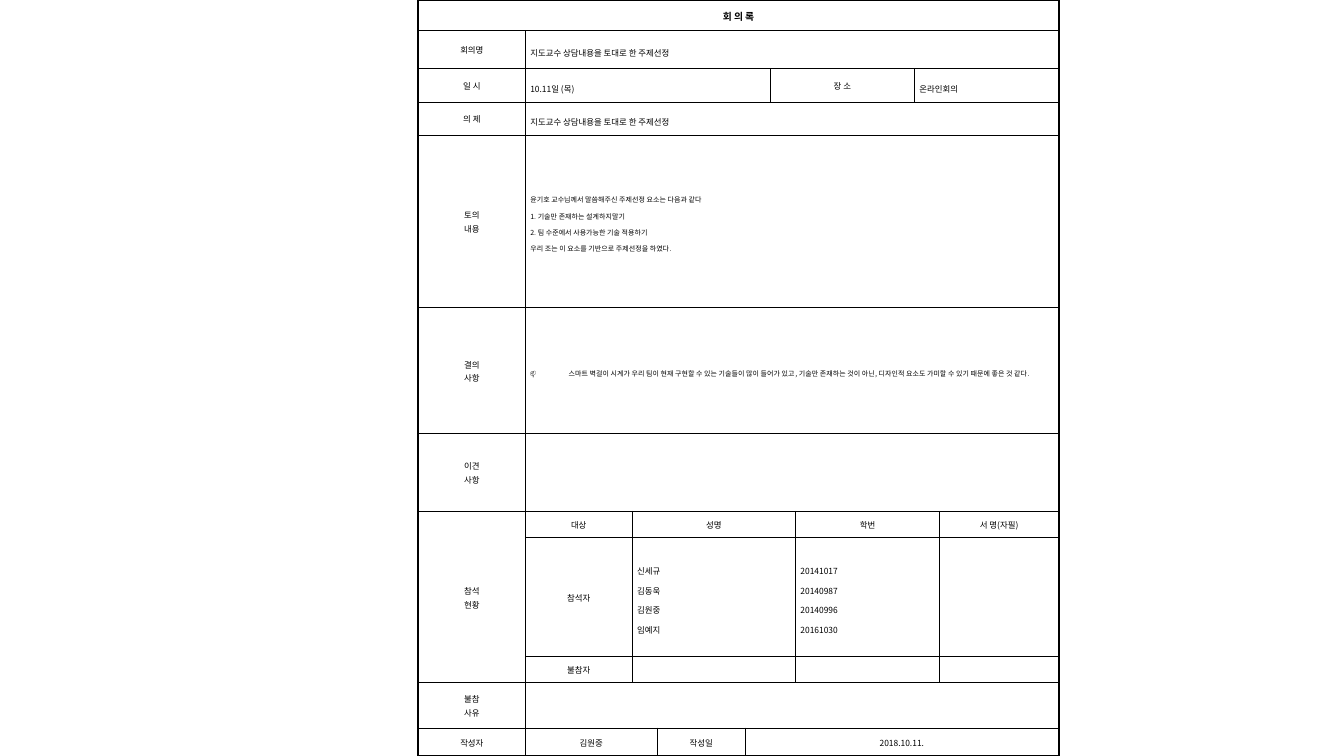
from lxml.etree import SubElement
from pptx import Presentation
from pptx.dml.color import RGBColor
from pptx.enum.text import MSO_ANCHOR, PP_ALIGN
from pptx.oxml.ns import qn
from pptx.util import Emu, Inches, Pt

FONT = "Noto Sans CJK KR"
BLACK = "000000"
THIN, THICK = 0.25, 1.7
COLUMNS = [1.06, 1.06, 0.25, 0.87, 0.25, 0.25, 1.18, 0.25, 1.18]
ROWS = [0.3, 0.38, 0.33, 0.33, 1.71, 1.25, 0.77, 0.26, 1.18, 0.26, 0.45, 0.28]

# Text styles: headings and labels are centred, entries are justified
LABEL = {"alignment": PP_ALIGN.CENTER, "line_spacing": 1.14, "size": 6, "bold": False}
TITLE = LABEL | {"size": 7, "bold": True}
ENTRY = LABEL | {"alignment": PP_ALIGN.JUSTIFY, "line_spacing": 1.6}
DETAIL = ENTRY | {"size": 5}
DECISION = DETAIL | {"bullet": "📫"}

# Cells: row, column, rows spanned, columns spanned, style, lines of text
CELLS = [
    (0, 0, 1, 9, TITLE, ["회 의 록"]),
    (1, 0, 1, 1, LABEL, ["회의명"]),
    (1, 1, 1, 8, ENTRY, ["지도교수 상담내용을 토대로 한 주제선정"]),
    (2, 0, 1, 1, LABEL, ["일 시"]),
    (2, 1, 1, 4, ENTRY, ["10.11일 (목)"]),
    (2, 5, 1, 2, LABEL, ["장 소"]),
    (2, 7, 1, 2, ENTRY, ["온라인회의"]),
    (3, 0, 1, 1, LABEL, ["의 제"]),
    (3, 1, 1, 8, ENTRY, ["지도교수 상담내용을 토대로 한 주제선정"]),
    (4, 0, 1, 1, LABEL, ["토의", "내용"]),
    (4, 1, 1, 8, DETAIL, [
        "윤기호 교수님께서 말씀해주신 주제선정 요소는 다음과 같다",
        "1. 기술만 존재하는 설계하지말기",
        "2. 팀 수준에서 사용가능한 기술 적용하기",
        "우리 조는 이 요소를 기반으로 주제선정을 하였다."]),
    (5, 0, 1, 1, LABEL, ["결의", "사항"]),
    (5, 1, 1, 8, DECISION, [
        "스마트 벽걸이 시계가 우리 팀이 현재 구현할 수 있는 기술들이 많이 들어가 있고, "
        "기술만 존재하는 것이 아닌, 디자인적 요소도 가미할 수 있기 때문에 좋은 것 같다."]),
    (6, 0, 1, 1, LABEL, ["이견", "사항"]),
    (6, 1, 1, 8, ENTRY, []),
    (7, 0, 3, 1, LABEL, ["참석", "현황"]),
    (7, 1, 1, 1, LABEL, ["대상"]),
    (7, 2, 1, 4, LABEL, ["성명"]),
    (7, 6, 1, 2, LABEL, ["학번"]),
    (7, 8, 1, 1, LABEL, ["서 명(자필)"]),
    (8, 1, 1, 1, LABEL, ["참석자"]),
    (8, 2, 1, 4, ENTRY, ["신세규", "김동욱", "김원중", "임예지"]),
    (8, 6, 1, 2, ENTRY, ["20141017", "20140987", "20140996", "20161030"]),
    (8, 8, 1, 1, ENTRY, []),
    (9, 1, 1, 1, LABEL, ["불참자"]),
    (9, 2, 1, 4, ENTRY, []),
    (9, 6, 1, 2, ENTRY, []),
    (9, 8, 1, 1, ENTRY, []),
    (10, 0, 1, 1, LABEL, ["불참", "사유"]),
    (10, 1, 1, 8, ENTRY, []),
    (11, 0, 1, 1, LABEL, ["작성자"]),
    (11, 1, 1, 2, LABEL, ["김원중"]),
    (11, 3, 1, 1, LABEL, ["작성일"]),
    (11, 4, 1, 5, LABEL, ["2018.10.11."]),
]


def color(hex_value):
    return RGBColor.from_string(hex_value)


def add_border(cell, side, points):
    line = SubElement(cell._tc.get_or_add_tcPr(), qn(f"a:ln{side}"), w=str(Pt(points)))
    fill = SubElement(line, qn("a:solidFill"))
    SubElement(fill, qn("a:srgbClr"), val=BLACK)


# Slide
presentation = Presentation()
presentation.slide_width, presentation.slide_height = Inches(13.33), Inches(7.5)
slide = presentation.slides.add_slide(presentation.slide_layouts[6])

# Table grid
shape = slide.shapes.add_table(
    len(ROWS), len(COLUMNS), Inches(4.15), Emu(0),
    Inches(sum(COLUMNS)), Inches(sum(ROWS)))
table = shape.table
table.first_row = table.horz_banding = False
for column, width in zip(table.columns, COLUMNS):
    column.width = Inches(width)
for row, height in zip(table.rows, ROWS):
    row.height = Inches(height)

# Cell margins, with a small text size so that empty cells stay low
cell_format = {
    "margin_left": Inches(0.05), "margin_right": Inches(0.05),
    "margin_top": Inches(0.03), "margin_bottom": Inches(0.03),
    "vertical_anchor": MSO_ANCHOR.MIDDLE,
}
for cell in table.iter_cells():
    for name, value in cell_format.items():
        setattr(cell, name, value)
    SubElement(cell.text_frame.paragraphs[0]._p, qn("a:endParaRPr"), sz="600")

# Cell contents
for row, column, row_span, column_span, style, lines in CELLS:
    cell = table.cell(row, column)
    last_row, last_column = row + row_span - 1, column + column_span - 1
    if row_span * column_span > 1:
        cell.merge(table.cell(last_row, last_column))

    # Thick frame around the form, thin lines inside
    on_frame = {
        "L": column == 0, "R": last_column == len(COLUMNS) - 1,
        "T": row == 0, "B": last_row == len(ROWS) - 1,
    }
    for side, outer in on_frame.items():
        add_border(cell, side, THICK if outer else THIN)
    cell.fill.background()

    for index, text in enumerate(lines):
        frame = cell.text_frame
        paragraph = frame.add_paragraph() if index else frame.paragraphs[0]
        for name in ("alignment", "line_spacing"):
            setattr(paragraph, name, style[name])
        if "bullet" in style:
            properties = paragraph._p.get_or_add_pPr()
            properties.set("marL", str(Inches(0.38)))
            properties.set("indent", str(-Inches(0.38)))
            # A named text font lets the symbol be found by its Unicode value
            SubElement(properties, qn("a:buFont"), typeface=FONT)
            SubElement(properties, qn("a:buChar"), char=style["bullet"])
        run = paragraph.add_run()
        run.text = text
        run.font.color.rgb = color(BLACK)
        font_format = {"size": Pt(style["size"]), "bold": style["bold"], "name": FONT}
        for name, value in font_format.items():
            setattr(run.font, name, value)
        run_properties = run._r.get_or_add_rPr()
        run_properties.set("kern", "0")
        SubElement(run_properties, qn("a:ea"), typeface=FONT)

presentation.save("out.pptx")
